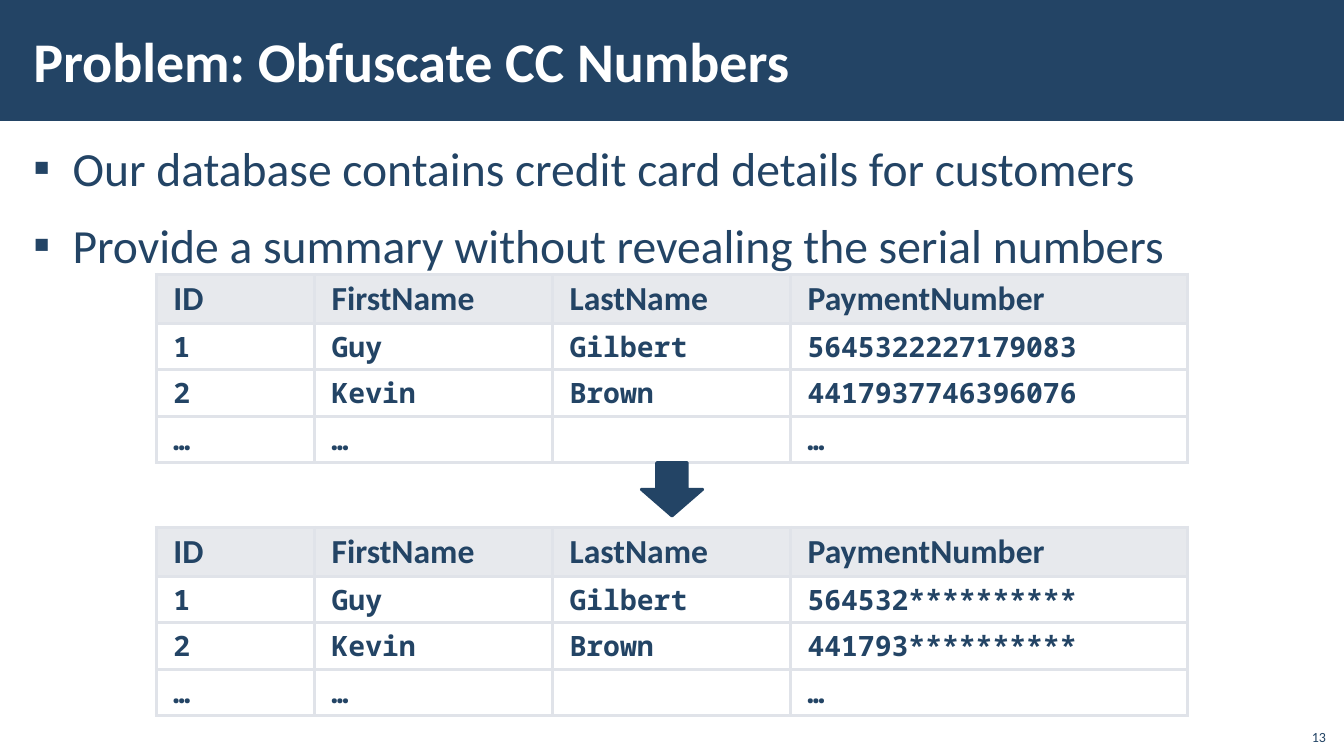
from lxml import etree
from pptx import Presentation
from pptx.dml.color import RGBColor
from pptx.enum import shapes, text
from pptx.oxml import ns
from pptx.util import Inches, Pt

TITLE = "Problem: Obfuscate CC Numbers"
BULLETS = [
    "Our database contains credit card details for customers",
    "Provide a summary without revealing the serial numbers",
]
HEADER = ("ID", "FirstName", "LastName", "PaymentNumber")
CUSTOMERS = [("1", "Guy", "Gilbert"), ("2", "Kevin", "Brown")]
MORE = ("…", "…", "", "…")
TABLES = [  # top, payment numbers
    (2.72, ("5645322227179083", "4417937746396076")),
    (5.23, ("564532**********", "441793**********")),
]
PAGE = "13"
COL_WIDTHS = (1.57, 2.36, 2.36, 3.94)
ROW_HEIGHTS = (0.48, 0.42, 0.42, 0.42)
NAVY, WHITE, GREY, BORDER = "234465", "FFFFFF", "D1D5DD", "E0E3E9"
SANS, MONO = "Calibri", "Noto Sans Mono"


def rgb(color):
    return RGBColor.from_string(color)


def style(p, size, color=NAVY, bold=False, name=SANS):
    for r in p.runs:
        r.font.size, r.font.bold, r.font.name = Pt(size), bold, name
        r.font.color.rgb = rgb(color)


def place(sp, left, top, width, height):
    sp.left, sp.top = Inches(left), Inches(top)
    sp.width, sp.height = Inches(width), Inches(height)


def set_margins(box, x, y):
    box.margin_left = box.margin_right = Inches(x)
    box.margin_top = box.margin_bottom = Inches(y)


def add_navy_shape(s, kind, left, top, width, height):
    sp = s.shapes.add_shape(kind, *map(Inches, (left, top, width, height)))
    sp.shadow.inherit = False
    sp.fill.solid()
    sp.fill.fore_color.rgb = rgb(NAVY)
    sp.line.fill.background()
    return sp


def add_bullet(p):
    pPr = p._p.get_or_add_pPr()
    pPr.set("marL", str(Inches(0.39)))
    pPr.set("indent", str(-Inches(0.39)))
    etree.SubElement(pPr, ns.qn("a:buFont")).set("typeface", SANS)
    etree.SubElement(pPr, ns.qn("a:buChar")).set("char", "▪")


def add_borders(cell):
    tcPr = cell._tc.get_or_add_tcPr()
    for i, side in enumerate(("lnL", "lnR", "lnT", "lnB")):
        ln = etree.Element(ns.qn(f"a:{side}"), w=str(Pt(2.25)))
        fill = etree.SubElement(ln, ns.qn("a:solidFill"))
        etree.SubElement(fill, ns.qn("a:srgbClr"), val=BORDER)
        tcPr.insert(i, ln)


def fill_cell(cell, value, is_header):
    cell.fill.solid()
    cell.fill.fore_color.rgb = rgb(GREY if is_header else WHITE)
    if is_header:
        clr = cell._tc.tcPr.find(".//" + ns.qn("a:srgbClr"))
        etree.SubElement(clr, ns.qn("a:alpha"), val="50000")
    add_borders(cell)
    set_margins(cell, 0.17, 0.05)
    p = cell.text_frame.paragraphs[0]
    p.text = value
    p.line_spacing = 0.95
    style(p, 24 if is_header else 20, bold=True, name=SANS if is_header else MONO)


def add_customer_table(s, top, numbers):
    rows = [HEADER, *(c + (n,) for c, n in zip(CUSTOMERS, numbers)), MORE]
    frame = s.shapes.add_table(len(rows), len(HEADER), Inches(1.55), Inches(top),
                               Inches(sum(COL_WIDTHS)), Inches(sum(ROW_HEIGHTS)))
    table = frame.table
    for col, width in zip(table.columns, COL_WIDTHS):
        col.width = Inches(width)
    for i, (row, height) in enumerate(zip(table.rows, ROW_HEIGHTS)):
        row.height = Inches(height)
        for cell, value in zip(row.cells, rows[i]):
            fill_cell(cell, value, i == 0)


def main():
    prs = Presentation()
    prs.slide_width, prs.slide_height = Inches(13.33), Inches(7.5)
    s = prs.slides.add_slide(prs.slide_layouts[1])
    title, body = s.placeholders

    bar = add_navy_shape(s, shapes.MSO_SHAPE.RECTANGLE, 0, 0, 13.33, 1.2)
    title._element.addprevious(bar._element)

    place(title, 0.21, 0.11, 10.63, 0.97)
    place(body, 0.21, 1.31, 12.92, 6.05)
    for sp in (title, body):
        set_margins(sp.text_frame, 0.12, 0.04)
        sp.text_frame.auto_size = text.MSO_AUTO_SIZE.NONE

    tf = title.text_frame
    tf.text = TITLE
    tf.vertical_anchor = text.MSO_ANCHOR.MIDDLE
    tf.paragraphs[0].alignment = text.PP_ALIGN.LEFT
    style(tf.paragraphs[0], 40, WHITE, bold=True)

    tf = body.text_frame
    tf.text = "\n".join(BULLETS)
    for i, p in enumerate(tf.paragraphs):
        add_bullet(p)
        p.line_spacing = 1.05
        p.space_before, p.space_after = Pt(6 if i else 0), Pt(6)
        style(p, 34)

    for top, numbers in TABLES:
        add_customer_table(s, top, numbers)

    arrow = add_navy_shape(s, shapes.MSO_SHAPE.DOWN_ARROW, 6.36, 4.59, 0.61, 0.53)
    arrow.line.color.rgb = rgb(NAVY)
    arrow.line.width = Pt(2)

    number = s.shapes.add_textbox(*map(Inches, (12.85, 7.12, 0.4, 0.32)))
    tf = number.text_frame
    tf.word_wrap = True
    tf.text = PAGE
    tf.vertical_anchor = text.MSO_ANCHOR.BOTTOM
    tf.paragraphs[0].alignment = text.PP_ALIGN.RIGHT
    style(tf.paragraphs[0], 10)

    prs.save("out.pptx")


if __name__ == "__main__":
    main()
